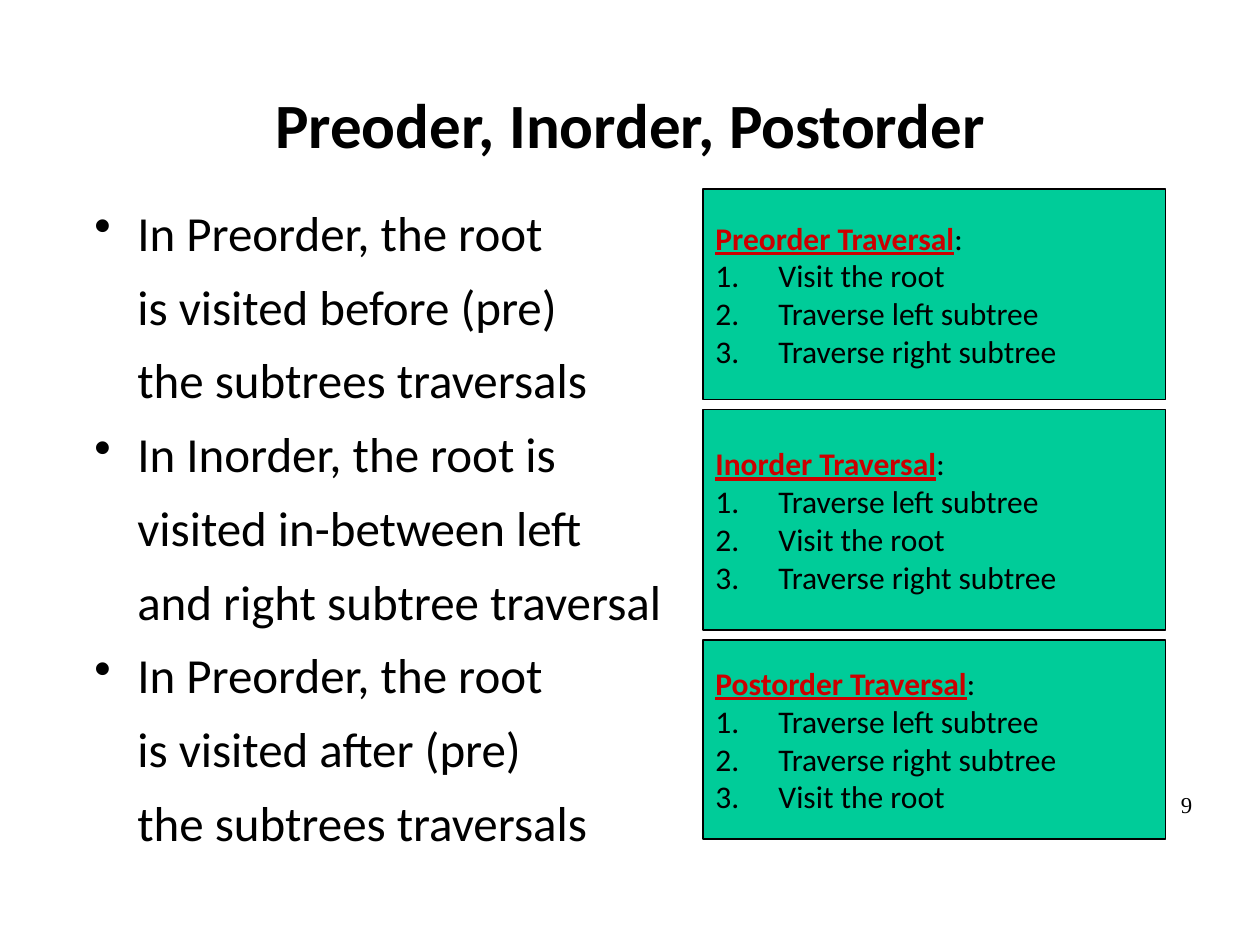
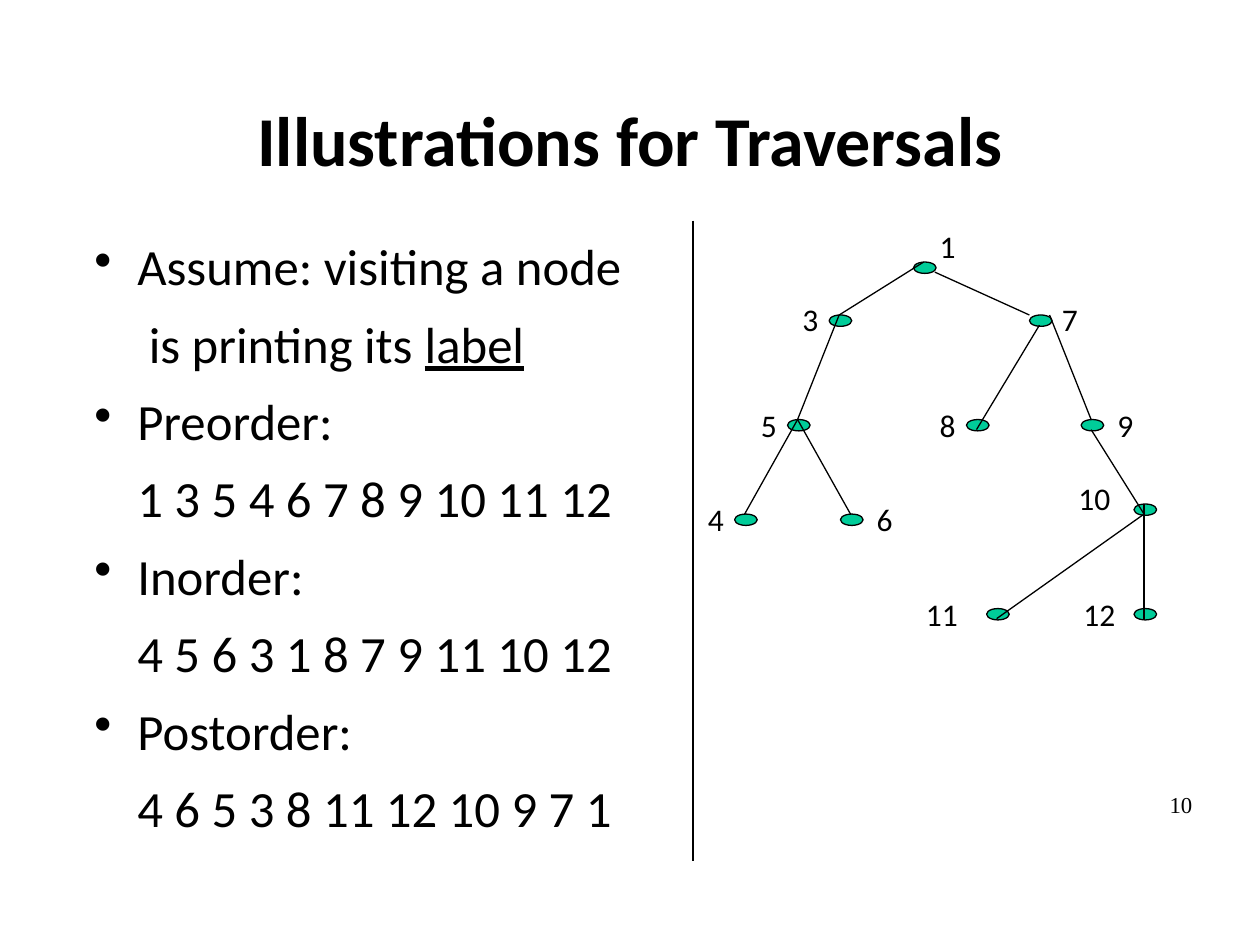
from dataclasses import dataclass

from lxml.etree import SubElement
from pptx import Presentation
from pptx.dml.color import RGBColor as Rgb
from pptx.enum.shapes import MSO_CONNECTOR as Connector, MSO_SHAPE as Shape
from pptx.enum.text import MSO_ANCHOR as Anchor, PP_ALIGN as Align
from pptx.oxml.ns import qn
from pptx.util import Inches, Pt


@dataclass(frozen=True)
class Theme:
    ink: str = "000000"
    green: str = "00CC99"
    red: str = "CC0000"
    font: str = "Calibri"
    number_font: str = "Times New Roman"
    small: int = 18
    number: int = 13
    line: float = 0.75


THEME = Theme()
PADDING = (0.1, 0.05, 0.1, 0.05)

PRINCIPLES = [
    ("In Preorder, the root", "is visited before (pre)", "the subtrees traversals"),
    ("In Inorder, the root is", "visited in-between left", "and right subtree traversal"),
    ("In Preorder, the root", "is visited after (pre)", "the subtrees traversals"),
]
ROOT, LEFT, RIGHT = "Visit the root", "Traverse left subtree", "Traverse right subtree"
TRAVERSALS = [
    ("Preorder Traversal", 1.67, (ROOT, LEFT, RIGHT)),
    ("Inorder Traversal", 1.75, (LEFT, ROOT, RIGHT)),
    ("Postorder Traversal", 1.58, (LEFT, RIGHT, ROOT)),
]
ORDERS = [
    ("Assume: visiting a node", [(" is printing its ", {}), ("label", {"underline": True})]),
    ("Preorder:", "1 3 5 4 6 7 8 9 10 11 12"),
    ("Inorder:", "4 5 6 3 1 8 7 9 11 10 12"),
    ("Postorder:", "4 6 5 3 8 11 12 10 9 7 1"),
]

NODE_SIZE = (0.18, 0.09)
NODES = {
    1: (7.25, 2.08), 3: (6.58, 2.5), 7: (8.17, 2.5), 5: (6.25, 3.33), 8: (7.67, 3.33),
    9: (8.58, 3.33), 4: (5.83, 4.08), 6: (6.67, 4.08), 10: (9, 4), 11: (7.83, 4.83),
    12: (9, 4.83),
}
LABELS = {
    1: (7.36, 1.75), 3: (6.27, 2.33), 7: (8.33, 2.33), 5: (5.94, 3.17), 8: (7.36, 3.17),
    9: (8.77, 3.17), 4: (5.52, 3.92), 6: (6.86, 3.92), 10: (8.46, 3.75), 11: (7.25, 4.67),
    12: (8.5, 4.67),
}
TOP, BOTTOM = (0.08, 0), (0.08, 0.08)
TOP_LEFT, TOP_RIGHT, BOTTOM_RIGHT = (0, 0), (0.16, 0), (0.17, 0.08)
EDGES = [
    (1, TOP, 3, TOP), (1, BOTTOM_RIGHT, 7, TOP_LEFT), (3, TOP, 5, TOP),
    (7, BOTTOM, 8, BOTTOM), (7, TOP_RIGHT, 9, TOP), (5, TOP, 4, TOP), (5, TOP, 6, TOP),
    (9, BOTTOM, 10, BOTTOM), (10, BOTTOM, 11, BOTTOM), (10, TOP, 12, BOTTOM),
]


def write(frame, content, first=False, size=THEME.small, font=THEME.font, color=THEME.ink,
          bold=False, underline=False, align=Align.LEFT, spacing=None, after=0,
          bullet=None, margin=0, hanging=0):
    paragraph = frame.paragraphs[0] if first else frame.add_paragraph()
    paragraph.alignment = align
    paragraph.space_after = Pt(after)
    if spacing:
        paragraph.line_spacing = spacing
    properties = paragraph._p.get_or_add_pPr()
    properties.set("marL", str(Inches(margin)))
    properties.set("indent", str(-Inches(hanging)))
    if bullet == "number":
        SubElement(properties, qn("a:buAutoNum"), type="arabicPeriod")
    elif bullet:
        SubElement(properties, qn("a:buChar"), char=bullet)
    runs = [(content, {})] if isinstance(content, str) else content
    for words, change in runs:
        style = {"color": color, "bold": bold, "underline": underline} | change
        run = paragraph.add_run()
        run.text = words
        run.font.name, run.font.size = font, Pt(size)
        run.font.bold, run.font.underline = style["bold"], style["underline"]
        run.font.color.rgb = Rgb.from_string(style["color"])


def set_frame(frame, insets=PADDING, anchor=Anchor.TOP, wrap=True):
    frame.word_wrap = wrap
    frame.vertical_anchor = anchor
    (frame.margin_left, frame.margin_top,
     frame.margin_right, frame.margin_bottom) = map(Inches, insets)
    return frame


def add_text(slide, place, **frame_format):
    return set_frame(slide.shapes.add_textbox(*map(Inches, place)).text_frame, **frame_format)


def add_green(slide, kind, place):
    shape = slide.shapes.add_shape(kind, *map(Inches, place))
    shape.shadow.inherit = False
    shape.fill.solid()
    shape.fill.fore_color.rgb = Rgb.from_string(THEME.green)
    shape.line.color.rgb = Rgb.from_string(THEME.ink)
    shape.line.width = Pt(THEME.line)
    return shape


def add_line(slide, start, end):
    line = slide.shapes.add_connector(Connector.STRAIGHT, *map(Inches, (*start, *end)))
    line.line.color.rgb = Rgb.from_string(THEME.ink)
    line.line.width = Pt(THEME.line)
    SubElement(line._element.spPr, qn("a:effectLst"))


def add_base(deck, title, number, height, size):
    slide = deck.slides.add_slide(deck.slide_layouts[6])
    heading = add_text(slide, (0.75, 0.67, 8.5, height), anchor=Anchor.MIDDLE)
    write(heading, title, first=True, size=size, bold=True, align=Align.CENTER, spacing=0.97)
    footer = add_text(slide, (8.89, 6.27, 0.67, 0.57))
    write(footer, str(number), first=True, size=THEME.number, font=THEME.number_font,
          align=Align.RIGHT, spacing=0.78)
    return slide


def add_points(slide, points, top, height, size, spacing):
    body = add_text(slide, (0.75, top, 8.5, height), insets=(0, 0.17, 0, 0))
    for index, point in enumerate(points):
        for row, content in enumerate(point):
            opening = row == 0
            write(body, content, first=opening and index == 0, size=size, spacing=spacing,
                  after=12.9, bullet="•" if opening else None,
                  margin=0.34, hanging=0.34 if opening else 0)


def add_traversals(slide, top, gap=0.08):
    for name, height, steps in TRAVERSALS:
        box = add_green(slide, Shape.RECTANGLE, (5.58, top, 3.67, height))
        frame = set_frame(box.text_frame, anchor=Anchor.MIDDLE)
        accent = {"color": THEME.red, "bold": True, "underline": True}
        write(frame, [(name, accent), (":", {})], first=True)
        for step in steps:
            write(frame, step, bullet="number", margin=0.5, hanging=0.5)
        top += height + gap


def add_tree(slide):
    for spot in NODES.values():
        add_green(slide, Shape.OVAL, (*spot, *NODE_SIZE))
    for value, spot in LABELS.items():
        width = 0.32 if value < 10 else 0.45
        write(add_text(slide, (*spot, width, 0.4), wrap=False), str(value), first=True)
    for parent, exit_point, child, entry_point in EDGES:
        start, end = (
            [a + b for a, b in zip(NODES[node], offset)]
            for node, offset in ((parent, exit_point), (child, entry_point))
        )
        add_line(slide, start, end)


def main():
    deck = Presentation()
    deck.slide_width, deck.slide_height = Inches(10), Inches(7.5)

    definitions = add_base(deck, "Preoder, Inorder, Postorder", 9, 0.67, 36)
    add_points(definitions, PRINCIPLES, 1.5, 5.17, 28, 0.87)
    add_traversals(definitions, 1.5)

    example = add_base(deck, "Illustrations for Traversals", 10, 0.92, 40)
    add_points(example, ORDERS, 1.75, 4.92, 29, 0.9)
    add_tree(example)
    add_line(example, (5.5, 1.75), (5.5, 6.83))

    deck.save("out.pptx")


if __name__ == "__main__":
    main()
